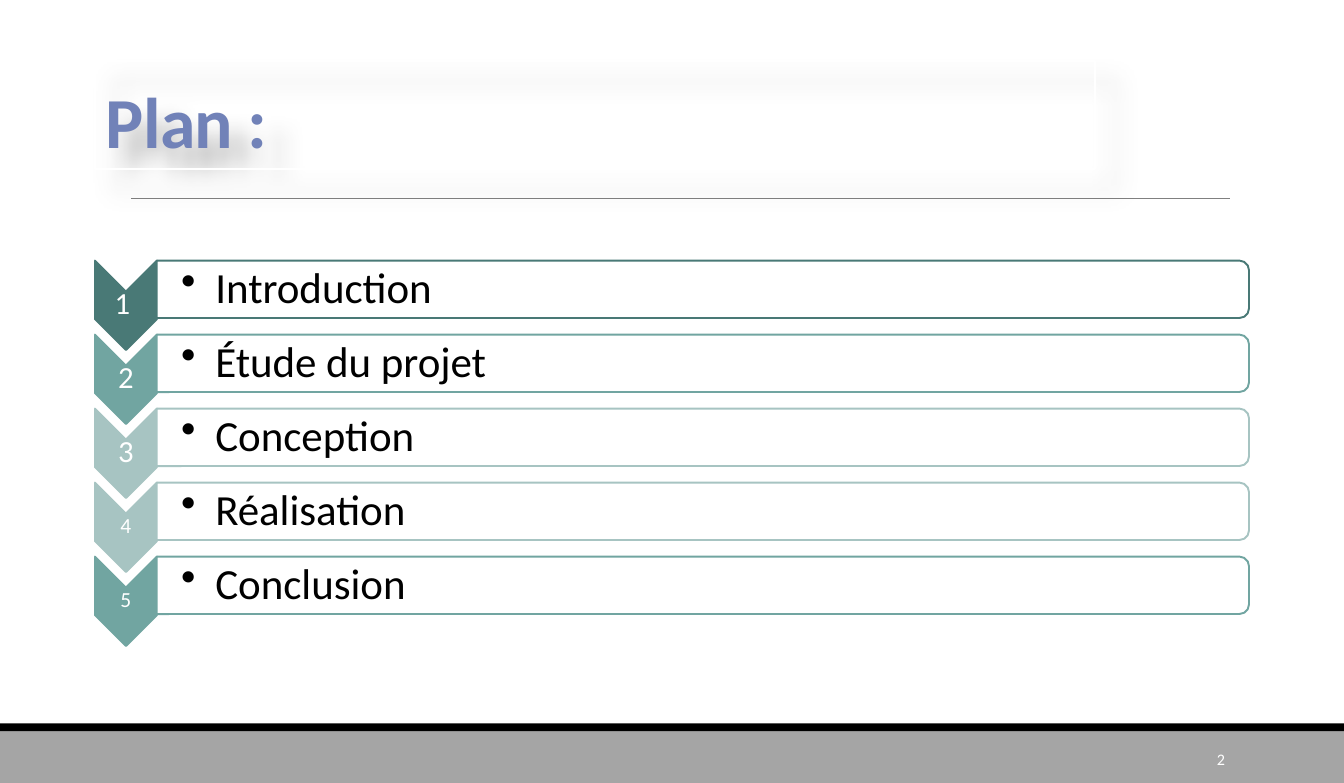
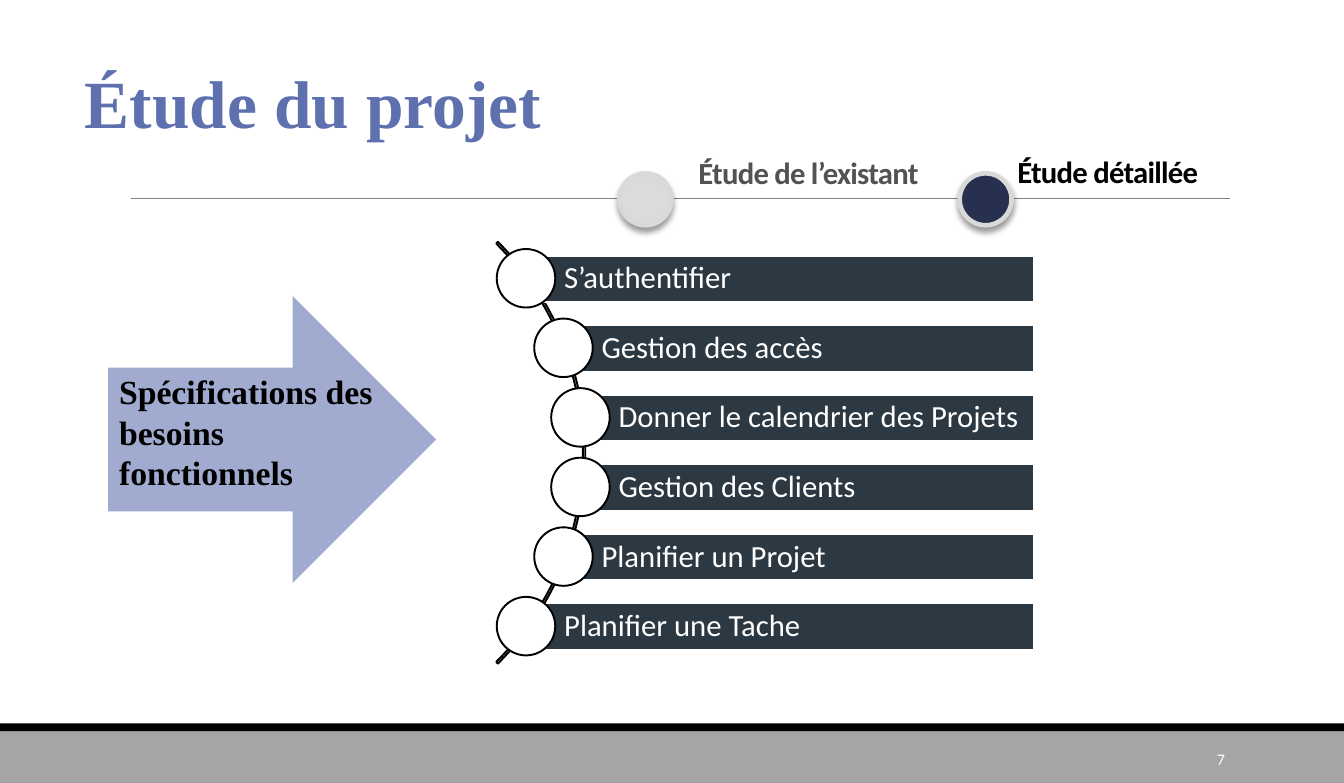
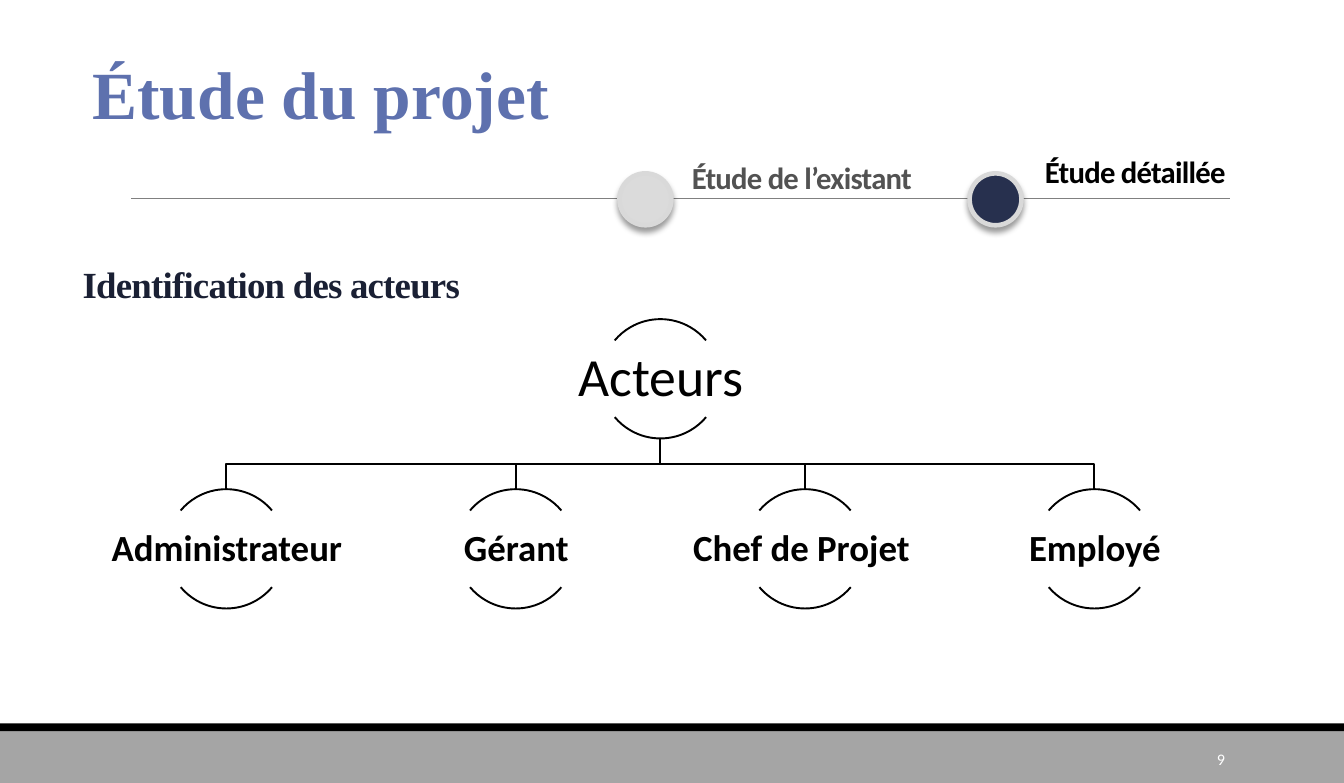
from math import sqrt

from lxml.etree import SubElement
from pptx import Presentation
from pptx.dml.color import RGBColor
from pptx.enum.shapes import MSO_CONNECTOR, MSO_SHAPE as Shape
from pptx.enum.text import MSO_ANCHOR as Anchor, PP_ALIGN as Align
from pptx.oxml.ns import qn
from pptx.util import Inches, Pt

WIDTH, HEIGHT = 12.17, 7.09
SANS, SERIF = "Calibri", "Times New Roman"
COLORS = {
    "white": "FFFFFF", "black": "000000", "band": "A5A5A5", "rule": "808080",
    "plan": "7182B8", "title": "5E71AE", "heading": "1A2034",
    "teal_dark": "497976", "teal": "71A5A1", "teal_light": "A7C4C2",
    "arrow": "A1ABD0", "bar": "2C3943", "muted": "525252",
    "dot": "DBDBDB", "dot_active": "27304E", "dot_ring": "D9D9D9",
}

CHAPTERS = [
    ("1 ", 20, "Introduction", "teal_dark"),
    ("2", 20, "Étude du projet", "teal"),
    ("3", 20, "Conception", "teal_light"),
    ("4", 14, "Réalisation", "teal_light"),
    ("5", 14, "Conclusion", "teal"),
]
SECTION = "Étude du projet"
STEPS = [("Étude de l’existant", "muted", "dot"),
         ("Étude détaillée", "black", "dot_active")]
NEEDS_TITLE = "Spécifications des besoins fonctionnels"
NEEDS = ["S’authentifier", "Gestion des accès", "Donner le calendrier des Projets",
         "Gestion des Clients", "Planifier un Projet", "Planifier une Tache"]
ACTORS_TITLE = "Identification des acteurs"
ACTORS_ROOT = "Acteurs"
ACTORS = ["Administrateur ", "Gérant", "Chef de Projet ", "Employé"]


def rgb(name):
    return RGBColor.from_string(COLORS[name])


def style_outline(shape, line, weight):
    if line:
        shape.line.color.rgb = rgb(line)
        shape.line.width = Pt(weight)
    else:
        shape.line.fill.background()


def add_shape(page, kind, left, top, width, height, fill=None, line=None,
              weight=1.25, turn=0, adjust=(), shadow=None):
    shape = page.shapes.add_shape(kind, *map(Inches, (left, top, width, height)))
    shape.rotation = turn
    for index, value in enumerate(adjust):
        shape.adjustments[index] = value
    if fill:
        shape.fill.solid()
        shape.fill.fore_color.rgb = rgb(fill)
    else:
        shape.fill.background()
    style_outline(shape, line, weight)
    shape.shadow.inherit = False
    if shadow:
        add_shadow(shape, *shadow)
    return shape


def add_shadow(shape, opacity, blur, distance, angle):
    effects = shape._element.spPr.find(qn("a:effectLst"))
    outer = SubElement(effects, qn("a:outerShdw"), blurRad=str(Pt(blur)),
                       dist=str(Pt(distance)), dir=str(angle * 60000),
                       algn="t", rotWithShape="0")
    color = SubElement(outer, qn("a:srgbClr"), val=COLORS["black"])
    SubElement(color, qn("a:alpha"), val=str(opacity * 1000))


def add_turned(page, kind, left, top, width, height, **look):
    return add_shape(page, kind, left + (width - height) / 2,
                     top + (height - width) / 2, height, width, turn=90, **look)


def write(shape, text, size, color, font=SANS, bold=False, align=Align.LEFT,
          anchor=Anchor.MIDDLE, insets=(0.1, 0.05, 0.1, 0.05), leading=None,
          tight=False, bullet=False):
    frame = shape.text_frame
    frame.word_wrap = True
    frame.vertical_anchor = anchor
    (frame.margin_left, frame.margin_top,
     frame.margin_right, frame.margin_bottom) = map(Inches, insets)
    para = frame.paragraphs[0]
    para.alignment = align
    if leading:
        para.line_spacing = leading
    if bullet:
        props = para._p.get_or_add_pPr()
        props.set("marL", str(Inches(0.31)))
        props.set("indent", str(-Inches(0.31)))
        SubElement(props, qn("a:buChar"), char="•")
    span = para.add_run()
    span.text = text
    span.font.name = font
    span.font.size = Pt(size)
    span.font.bold = bold
    span.font.color.rgb = rgb(color)
    if tight:
        span._r.get_or_add_rPr().set("spc", "-50")


def add_text(page, left, top, width, height, text, size, color, **look):
    box = page.shapes.add_textbox(*map(Inches, (left, top, width, height)))
    write(box, text, size, color, **look)


def add_page(deck, number):
    page = deck.slides.add_slide(deck.slide_layouts[6])
    add_shape(page, Shape.RECTANGLE, 0, 6.61, WIDTH, HEIGHT - 6.61, "band")
    add_shape(page, Shape.RECTANGLE, 0, 6.55, WIDTH, 0.07, "black")
    rule = page.shapes.add_connector(MSO_CONNECTOR.STRAIGHT,
                                     *map(Inches, (1.19, 1.8, 11.14, 1.8)))
    style_outline(rule, "rule", 0.5)
    SubElement(rule._element.spPr, qn("a:effectLst"))
    add_text(page, 9.88, 6.68, 1.31, 0.38, str(number), 10.5, "white", align=Align.RIGHT)
    return page


def add_section_header(page, left, top, dots, labels):
    add_text(page, left, top, 4.57, 0.84, SECTION, 44, "title", font=SERIF,
             bold=True, anchor=Anchor.TOP)
    for (text, color, fill), dot, (x, y) in zip(STEPS, dots, labels):
        add_shape(page, Shape.OVAL, dot, 1.57, 0.47, 0.47, fill, "dot_ring", 3,
                  shadow=(40, 4, 3, 90))
        add_text(page, x - 1.25, y - 0.2, 2.5, 0.4, text, 20, color, bold=True,
                 align=Align.CENTER, leading=0.85, tight=True)


def build_plan(deck):
    page = add_page(deck, 2)
    left, top, pitch, marker, right = 0.86, 2.36, 0.67, 0.56, 11.31
    start = left + marker
    for row, (number, size, chapter, color) in enumerate(CHAPTERS):
        y = top + row * pitch
        add_turned(page, Shape.CHEVRON, left, y, marker, 0.81, fill=color, line=color)
        add_text(page, left, y + 0.28, marker, 0.24, number, size, "white",
                 align=Align.CENTER, insets=(0.01,) * 4, leading=0.9)
        add_turned(page, Shape.ROUND_2_SAME_RECTANGLE, start, y, right - start, 0.52,
                   fill="white", line=color)
        add_text(page, start, y, right - start, 0.47, chapter, 28, "black",
                 insets=(0.22, 0, 0.02, 0), bullet=True)
    title = add_shape(page, Shape.RECTANGLE, 0.86, 0.55, 9.06, 0.98, line="white",
                      shadow=(30, 15, 18, 45))
    write(title, "Plan :", 46.8, "plan", bold=True, anchor=Anchor.BOTTOM,
          leading=0.85, tight=True)


def build_needs(deck):
    page = add_page(deck, 7)
    add_section_header(page, 0.67, 0.5, (5.61, 8.69), ((7.32, 1.59), (10.03, 1.58)))
    add_shape(page, Shape.RIGHT_ARROW, 0.98, 2.68, 2.97, 2.6, "arrow")
    add_text(page, 0.98, 3.31, 2.51, 1.21, NEEDS_TITLE, 22, "black", font=SERIF,
             bold=True, anchor=Anchor.TOP)
    center_x, center_y, radius, pitch, right = 2.6, 4.1, 2.7, 0.63, 9.36
    add_shape(page, Shape.BLOCK_ARC, center_x - radius, center_y - radius,
              2 * radius, 2 * radius, line="black", adjust=(189, 27, 0.004))
    for row, need in enumerate(NEEDS):
        rise = (row - (len(NEEDS) - 1) / 2) * pitch
        x = center_x + sqrt((radius - 0.02) ** 2 - rise ** 2)
        y = center_y + rise
        bar = add_shape(page, Shape.RECTANGLE, x, y - 0.21, right - x, 0.42, "bar", "white")
        write(bar, need, 20, "white", insets=(0.34, 0.06, 0, 0.06), leading=0.9)
        add_shape(page, Shape.OVAL, x - 0.27, y - 0.27, 0.53, 0.53, "white", "black")


def add_branch(page, *points):
    start, *corners = [tuple(map(Inches, point)) for point in points]
    builder = page.shapes.build_freeform(*start)
    builder.add_line_segments(corners, close=False)
    branch = builder.convert_to_shape()
    branch.fill.background()
    style_outline(branch, "black", 1.25)
    branch.shadow.inherit = False


def add_actor(page, x, top, text, size, bold):
    for angles in ((132, 192), (24, 84)):
        add_shape(page, Shape.ARC, x - 0.54, top, 1.08, 1.08, line="black", adjust=angles)
    add_text(page, x - 1.08, top + 0.2, 2.17, 0.69, text, size, "black", bold=bold,
             align=Align.CENTER, insets=(0.02,) * 4, leading=0.9)


def build_actors(deck):
    page = add_page(deck, 9)
    add_section_header(page, 0.74, 0.42, (5.61, 8.78), ((7.26, 1.63), (10.28, 1.58)))
    add_text(page, 0.65, 1.65, 11, 1.17, ACTORS_TITLE, 24, "heading", font=SERIF,
             bold=True, anchor=Anchor.BOTTOM, leading=0.85, tight=True)
    root_x, root_top, child_top, pitch = 5.98, 2.89, 4.43, 2.62
    fork, bend = root_top + 1.08, 4.2
    add_actor(page, root_x, root_top, ACTORS_ROOT, 35, False)
    for column, actor in enumerate(ACTORS):
        x = root_x + (column - (len(ACTORS) - 1) / 2) * pitch
        add_branch(page, (root_x, fork), (root_x, bend), (x, bend), (x, child_top))
        add_actor(page, x, child_top, actor, 24, True)


def main():
    deck = Presentation()
    deck.slide_width, deck.slide_height = Inches(WIDTH), Inches(HEIGHT)
    for build in (build_plan, build_needs, build_actors):
        build(deck)
    deck.save("out.pptx")


if __name__ == "__main__":
    main()
